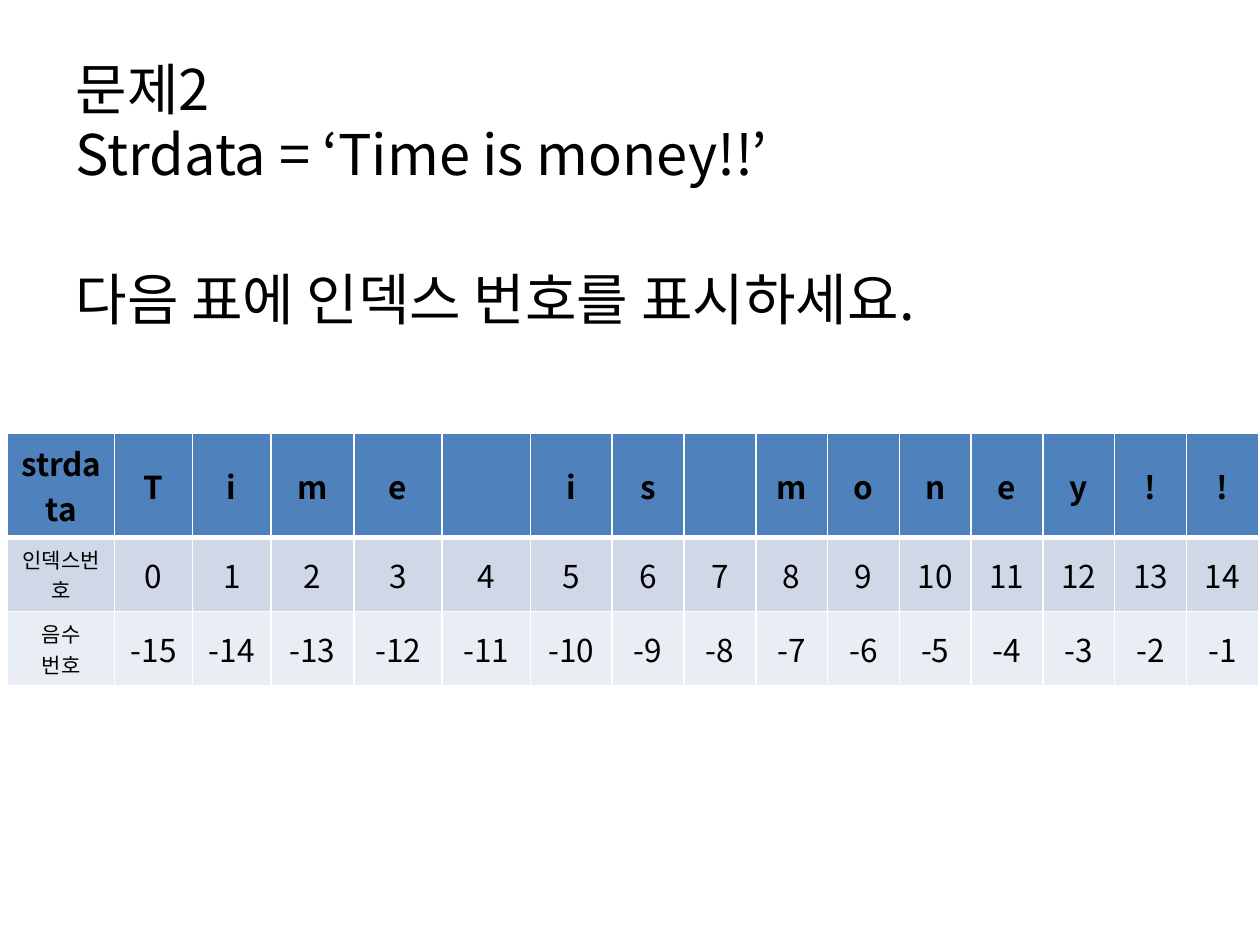
from lxml.etree import SubElement
from pptx import Presentation
from pptx.dml.color import RGBColor
from pptx.enum.text import MSO_ANCHOR, MSO_AUTO_SIZE, PP_ALIGN
from pptx.oxml.ns import qn
from pptx.util import Inches, Pt

FONT = "Noto Sans CJK KR"
COLORS = {"text": "000000", "border": "FFFFFF", "header": "4F81BD",
          "index": "D0D8E8", "negative": "E9EDF4"}


def write(p, text, size=18, bold=False, align=PP_ALIGN.LEFT, before=0, spacing=None):
    p.alignment = align
    p.space_before = Pt(before)
    p.line_spacing = spacing
    r = p.add_run()
    r.text = text
    r.font.name = FONT
    r.font.size = Pt(size)
    r.font.bold = bold
    r.font.color.rgb = RGBColor.from_string(COLORS["text"])
    SubElement(r.font._element, qn("a:ea"), typeface=FONT)


def set_border(cell, side, width):
    ln = SubElement(cell._tc.get_or_add_tcPr(), qn(f"a:ln{side}"), w=str(Pt(width)))
    fill = SubElement(ln, qn("a:solidFill"))
    SubElement(fill, qn("a:srgbClr"), val=COLORS["border"])


prs = Presentation()
prs.slide_width, prs.slide_height = Inches(10), Inches(7.5)
s = prs.slides.add_slide(prs.slide_layouts[1])
title = s.shapes.title._element
title.getparent().remove(title)

# Question text
body = s.placeholders[1]
body.left, body.top = Inches(0.5), Inches(0.44)
body.width, body.height = Inches(9), Inches(6.85)
tf = body.text_frame
tf.auto_size = MSO_AUTO_SIZE.NONE
lines = [("문제2", 0), ("Strdata = ‘Time is money!!’", 3),
         ("다음 표에 인덱스 번호를 표시하세요.", 48)]
for i, (text, before) in enumerate(lines):
    p = tf.add_paragraph() if i else tf.paragraphs[0]
    pPr = p._p.get_or_add_pPr()
    pPr.set("marL", "0")
    pPr.set("indent", "0")
    SubElement(pPr, qn("a:buNone"))
    write(p, text, size=32, before=before, spacing=0.9)

# Index table: characters, positive indexes, negative indexes
phrase = "Time is money!!"
n = len(phrase)
rows = [("header", ["strdata", *phrase]),
        ("index", ["인덱스번호", *range(n)]),
        ("negative", ["음수\n번호", *range(-n, 0)])]
widths = [0.85, 0.62, 0.62, 0.66, 0.7, 0.7, 0.65] + [0.57] * 9
heights = [0.63, 0.59, 0.59]
table = s.shapes.add_table(len(rows), n + 1, Inches(0.06), Inches(3.44),
                           Inches(9.88), Inches(1.87)).table
for col, width in zip(table.columns, widths):
    col.width = Inches(width)
for row, height in zip(table.rows, heights):
    row.height = Inches(height)

for i, (kind, values) in enumerate(rows):
    for j, value in enumerate(values):
        cell = table.cell(i, j)
        cell.vertical_anchor = MSO_ANCHOR.MIDDLE
        for side in "LRTB":
            under_header = (i, side) in [(0, "B"), (1, "T")]
            set_border(cell, side, 3 if under_header else 1)
        cell.fill.solid()
        cell.fill.fore_color.rgb = RGBColor.from_string(COLORS[kind])
        size = 12 if i and not j else 18
        tf = cell.text_frame
        for k, text in enumerate(str(value).strip().splitlines()):
            p = tf.add_paragraph() if k else tf.paragraphs[0]
            write(p, text, size=size, bold=i == 0, align=PP_ALIGN.CENTER)

prs.save("out.pptx")
